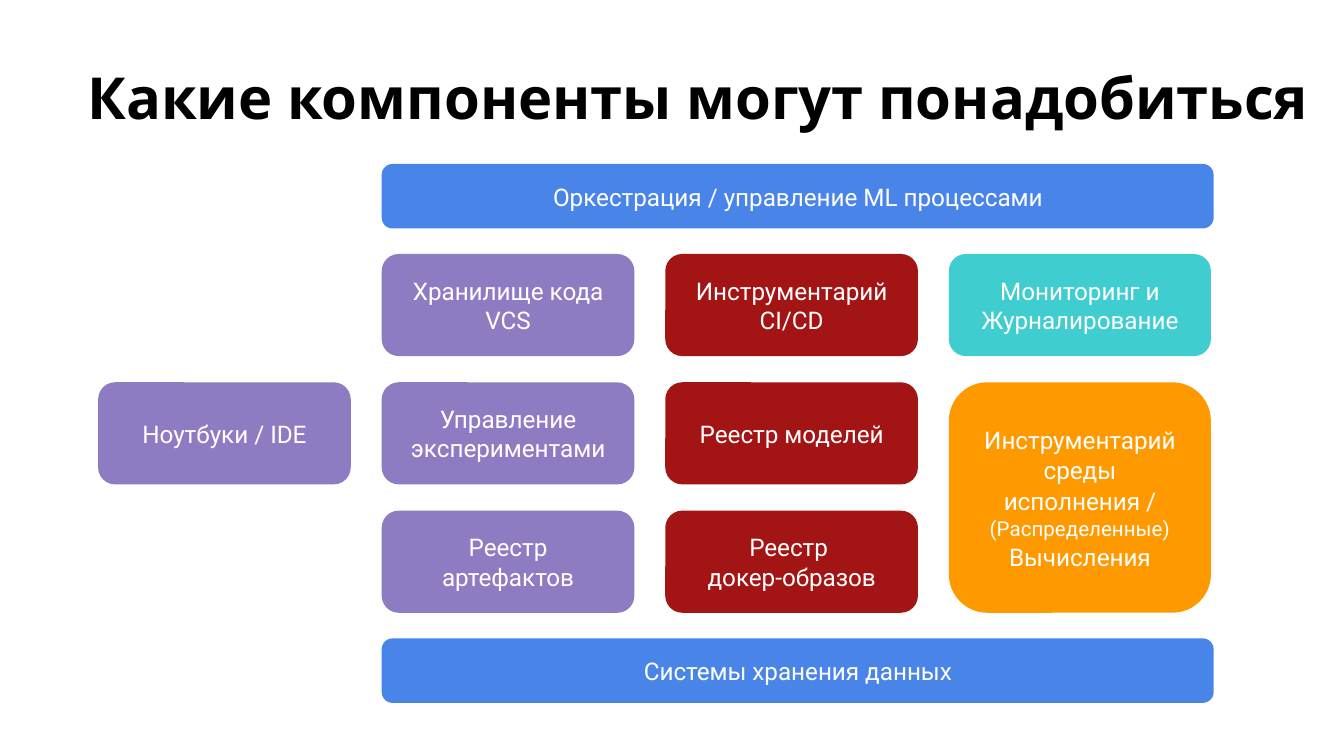
"""Build a slide that maps the components of an ML platform."""
from dataclasses import dataclass

from pptx import Presentation
from pptx.dml.color import RGBColor
from pptx.enum.shapes import MSO_SHAPE as Shape
from pptx.enum.text import MSO_ANCHOR as Anchor, MSO_AUTO_SIZE as AutoSize, PP_ALIGN as Align
from pptx.util import Inches, Pt


@dataclass(frozen=True)
class Theme:
    title_font: str = "Karla"
    body_font: str = "Roboto"
    title_size: int = 31
    body_size: int = 13
    small_size: int = 11
    black: str = "000000"
    white: str = "FFFFFF"
    blue: str = "4985E8"
    purple: str = "8E7CC3"
    red: str = "A31414"
    teal: str = "3FCDCF"
    orange: str = "FF9900"


THEME = Theme()
GRID_LEFT, GRID_TOP, LAST_ROW_TOP = 0.73, 1.89, 3.8
COLUMN_STEP, ROW_STEP = 2.11, (LAST_ROW_TOP - GRID_TOP) / 2
CARD_WIDTH, WIDE_CARD_WIDTH, CARD_HEIGHT = 1.88, 1.95, 0.76
BAR_LEFT, BAR_WIDTH, BAR_HEIGHT = 2.84, 6.19, 0.48

BARS = [
    (1.22, "Оркестрация / управление ML процессами"),
    (4.75, "Системы хранения данных"),
]
CARDS = [
    (1, 0, THEME.purple, "Хранилище кода VCS"),
    (2, 0, THEME.red, "Инструментарий CI/CD"),
    (3, 0, THEME.teal, "Мониторинг и Журналирование"),
    (0, 1, THEME.purple, "Ноутбуки / IDE"),
    (1, 1, THEME.purple, "Управление экспериментами"),
    (2, 1, THEME.red, "Реестр моделей"),
    (1, 2, THEME.purple, "Реестр артефактов"),
    (2, 2, THEME.red, "Реестр \vдокер-образов"),
]
RUNTIME_SPANS = [
    ("Инструментарий среды исполнения / ", THEME.body_size),
    ("(Распределенные) ", THEME.small_size),
    ("Вычисления", THEME.body_size),
]


def style_font(font, name, size, color, bold=False):
    """Apply the typeface, size, colour and weight."""
    font.name, font.size, font.bold = name, Pt(size), bold
    font.color.rgb = RGBColor.from_string(color)


def add_title(page, text):
    """Fill and place the title placeholder."""
    box = page.shapes.title
    box.left, box.top, box.width, box.height = map(Inches, (0.55, 0.36, 9.32, 1.07))
    frame = box.text_frame
    frame.text = text
    frame.word_wrap, frame.auto_size = True, AutoSize.NONE
    frame.vertical_anchor = Anchor.TOP
    frame.margin_left = frame.margin_right = Inches(0.1)
    frame.margin_top = frame.margin_bottom = Inches(0.1)
    para = frame.paragraphs[0]
    para.alignment = Align.LEFT
    style_font(para.font, THEME.title_font, THEME.title_size, THEME.black, bold=True)


def add_block(page, left, top, width, height, color, text=""):
    """Add a rounded block with centred text and return its paragraph."""
    box = page.shapes.add_shape(
        Shape.ROUNDED_RECTANGLE, *map(Inches, (left, top, width, height)))
    box.shadow.inherit = False
    box.fill.solid()
    box.fill.fore_color.rgb = RGBColor.from_string(color)
    box.line.fill.background()
    frame = box.text_frame
    frame.word_wrap = True
    frame.vertical_anchor = Anchor.MIDDLE
    frame.margin_left = frame.margin_right = Inches(0.15)
    frame.margin_top = frame.margin_bottom = 0
    para = frame.paragraphs[0]
    para.text = text
    para.alignment = Align.CENTER
    para.line_spacing = 1.01
    style_font(para.font, THEME.body_font, THEME.body_size, THEME.white)
    return para


def add_card(page, column, row, color, text="", rows=1):
    """Add a block on the component grid and return its paragraph."""
    left = GRID_LEFT + column * COLUMN_STEP
    top = GRID_TOP + row * ROW_STEP
    width = WIDE_CARD_WIDTH if column == 3 else CARD_WIDTH
    height = CARD_HEIGHT + (rows - 1) * ROW_STEP
    return add_block(page, left, top, width, height, color, text)


def add_runtime_card(page):
    """Add the tall runtime card with its mixed text sizes."""
    para = add_card(page, 3, 1, THEME.orange, rows=2)
    para.line_spacing = 1.05
    for text, size in RUNTIME_SPANS:
        span = para.add_run()
        span.text = text
        span.font.size = Pt(size)


def main():
    """Build the slide and save the deck."""
    deck = Presentation()
    deck.slide_width = Inches(10)
    deck.slide_height = deck.slide_width * 9 // 16
    page = deck.slides.add_slide(deck.slide_layouts[5])
    add_title(page, "Какие компоненты могут понадобиться")
    for top, text in BARS:
        add_block(page, BAR_LEFT, top, BAR_WIDTH, BAR_HEIGHT, THEME.blue, text)
    for card in CARDS:
        add_card(page, *card)
    add_runtime_card(page)
    deck.save("out.pptx")


if __name__ == "__main__":
    main()
